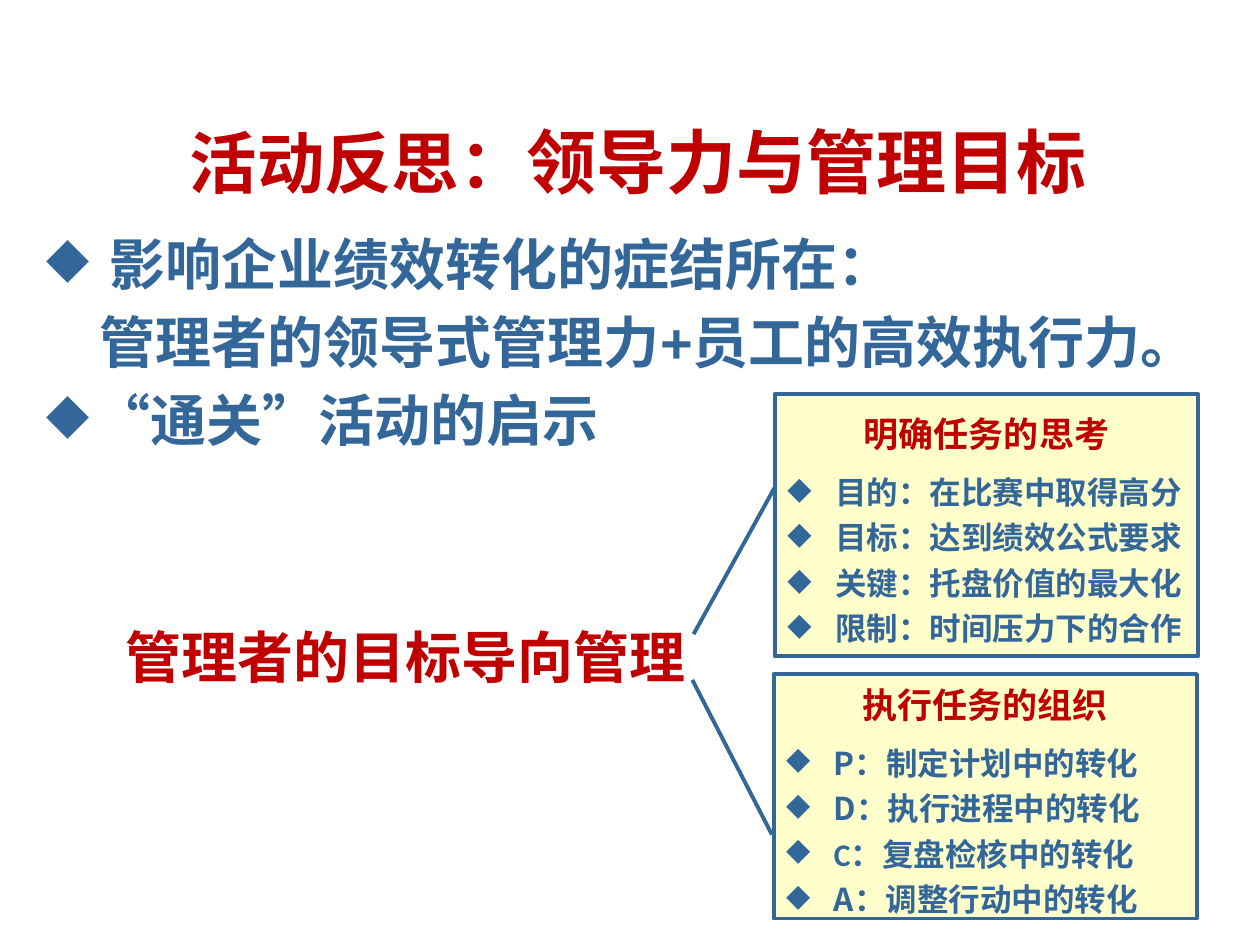
import pptx
import pptx.util
import pptx.dml.color
import pptx.enum.lang
import pptx.enum.shapes
import pptx.enum.text
import pptx.oxml
import pptx.oxml.ns
from lxml import etree
from pptx.util import Inches, Pt

THEME = {
    "red": "C00000", "blue": "336699", "cream": "FFFFCC",
    "latin": "Arial", "cjk": "Noto Sans CJK SC", "letter": "Calibri",
    "title": 40, "title_lead": 38.5, "body": 32, "heading": 20, "item": 18,
}

# Content
TITLE = [("活动反思：", THEME["title_lead"]), ("领导力与管理目标", THEME["title"])]
# text, bulleted, left margin
POINTS = [
    ("影响企业绩效转化的症结所在：", True, 0.5),
    ("管理者的领导式管理力+员工的高效执行力。", False, 0.42),
    ("“通关”活动的启示", True, 0.38),
]
CONCLUSION = "管理者的目标导向管理"
# box, pointer adjustments, heading, items as (label, text)
CALLOUTS = [
    ((6.15, 3.13, 3.36, 2.08), (0.357, -0.001, 0.915, -0.192), "明确任务的思考",
     [("目的", "在比赛中取得高分"), ("目标", "达到绩效公式要求"),
      ("关键", "托盘价值的最大化"), ("限制", "时间压力下的合作")]),
    ((6.14, 5.35, 3.36, 1.94), (0.657, -0.004, 0.024, -0.192), "执行任务的组织",
     [("P", "制定计划中的转化"), ("D", "执行进程中的转化"),
      ("C", "复盘检核中的转化"), ("A", "调整行动中的转化")]),
]


def color(name):
    return pptx.dml.color.RGBColor.from_string(THEME[name])


def style(font, size, ink, latin):
    font.size, font.bold, font.name = Pt(size), True, latin
    font.color.rgb = color(ink)
    font.language_id = pptx.enum.lang.MSO_LANGUAGE_ID.SIMPLIFIED_CHINESE
    latin_tag = font._element.find(pptx.oxml.ns.qn("a:latin"))
    east_asian = etree.Element(pptx.oxml.ns.qn("a:ea"), typeface=THEME["cjk"])
    latin_tag.addnext(east_asian)


def indent(paragraph, margin, bulleted):
    properties = paragraph._p.get_or_add_pPr()
    properties.set("marL", str(Inches(margin)))
    if bulleted:
        properties.set("indent", str(-Inches(margin)))
        bullet = etree.Element(pptx.oxml.ns.qn("a:buChar"), char="◆")
        properties.find(pptx.oxml.ns.qn("a:defRPr")).addprevious(bullet)


def add_paragraph(frame, text, size, ink, latin):
    first = frame.paragraphs[0]
    paragraph = frame.add_paragraph() if first.runs else first
    paragraph.add_run().text = text
    style(paragraph.font, size, ink, latin)
    return paragraph


def add_text(slide, box, wrap=True):
    frame = slide.shapes.add_textbox(*map(Inches, box)).text_frame
    frame.word_wrap = wrap
    return frame


def add_callout(slide, box, pointer, heading, items):
    callout = slide.shapes.add_shape(
        pptx.enum.shapes.MSO_SHAPE.LINE_CALLOUT_1, *map(Inches, box))
    for index, value in enumerate(pointer):
        callout.adjustments[index] = value
    callout.shadow.inherit = False
    callout.fill.solid()
    callout.fill.fore_color.rgb = color("cream")
    callout.line.color.rgb = color("blue")
    callout.line.width = Pt(2.25)
    frame = callout.text_frame
    frame.word_wrap = True
    frame.vertical_anchor = pptx.enum.text.MSO_ANCHOR.MIDDLE

    top = add_paragraph(frame, heading, THEME["heading"], "red", THEME["cjk"])
    top.alignment = pptx.enum.text.PP_ALIGN.CENTER
    top.line_spacing, top.space_after = Pt(29), Pt(6)
    for label, text in items:
        item = add_paragraph(frame, label, THEME["item"], "blue", THEME["cjk"])
        item.add_run().text = "：" + text
        if label == "C":
            item.runs[0].font.name = THEME["letter"]
        item.alignment = pptx.enum.text.PP_ALIGN.LEFT
        item.line_spacing = Pt(26)
        indent(item, 0.38, True)


def main():
    deck = pptx.Presentation()
    deck.slide_width, deck.slide_height = Inches(10), Inches(7.5)
    slide = deck.slides.add_slide(deck.slide_layouts[6])

    # Title
    frame = add_text(slide, (0.56, 0.76, 9.01, 1.02))
    frame.vertical_anchor = pptx.enum.text.MSO_ANCHOR.MIDDLE
    title = frame.paragraphs[0]
    title.alignment = pptx.enum.text.PP_ALIGN.CENTER
    for text, size in TITLE:
        run = title.add_run()
        run.text = text
        style(run.font, size, "red", THEME["latin"])

    # Main points
    frame = add_text(slide, (0.27, 1.78, 9.77, 4.69))
    for text, bulleted, margin in POINTS:
        point = add_paragraph(frame, text, THEME["body"], "blue", THEME["latin"])
        point.line_spacing, point.space_before = Pt(38), Pt(6.4)
        indent(point, margin, bulleted)

    # Conclusion and its two callouts
    frame = add_text(slide, (0.9, 4.89, 4.69, 0.64), wrap=False)
    add_paragraph(frame, CONCLUSION, THEME["body"], "red", THEME["cjk"])
    for callout in CALLOUTS:
        add_callout(slide, *callout)

    deck.save("out.pptx")


if __name__ == "__main__":
    main()
